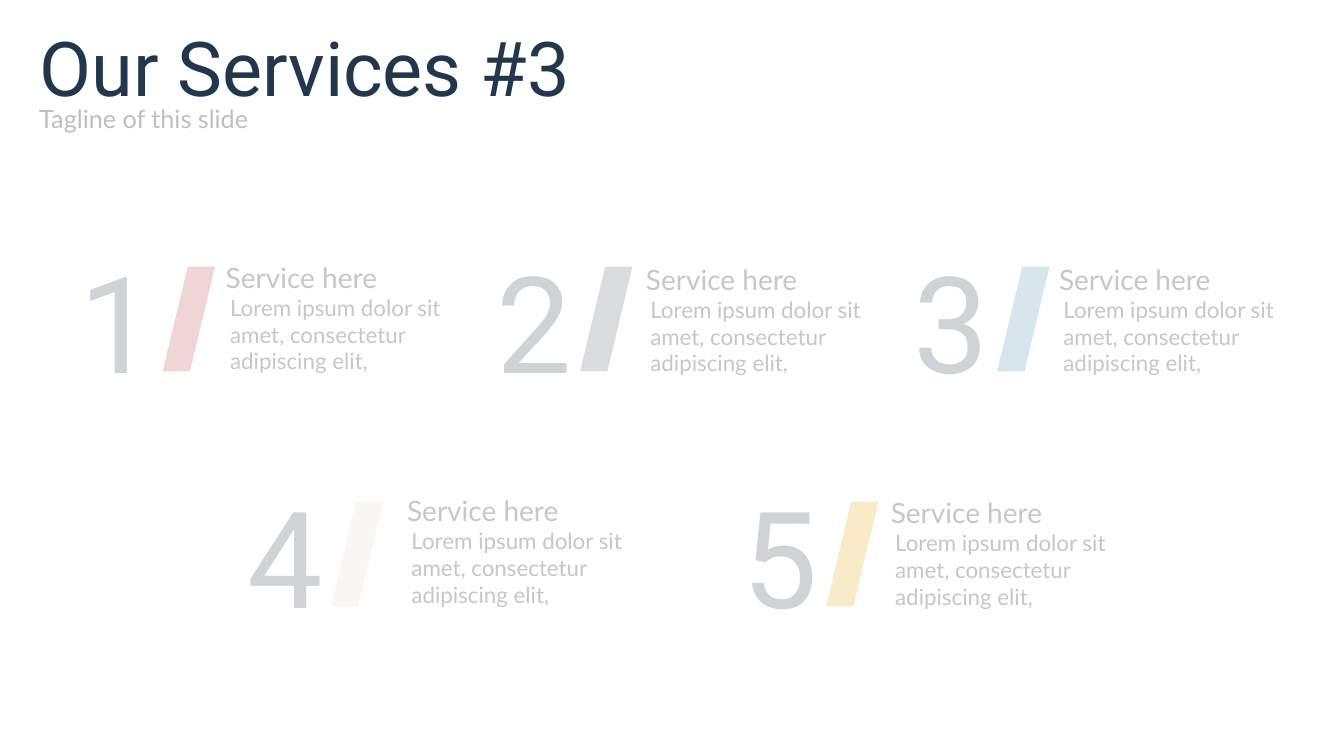
from lxml.etree import SubElement
from pptx import Presentation
from pptx.dml.color import RGBColor
from pptx.enum.shapes import MSO_SHAPE
from pptx.enum.text import MSO_ANCHOR, MSO_AUTO_SIZE, PP_ALIGN
from pptx.oxml.ns import qn
from pptx.util import Cm, Pt

NAVY = RGBColor(0x22, 0x37, 0x4B)
GREY = RGBColor(0xBF, 0xBF, 0xBF)
BLACK = RGBColor(0, 0, 0)
WHITE = RGBColor(0xFF, 0xFF, 0xFF)
RED = RGBColor(0xBE, 0x42, 0x48)
SLATE = RGBColor(0x58, 0x64, 0x73)
BLUE = RGBColor(0x4B, 0x89, 0xAA)
SAND = RGBColor(0xE6, 0xDA, 0xCB)
GOLD = RGBColor(0xE6, 0xA4, 0x00)

TITLE = "Our Services #3"
TAGLINE = "Tagline of this slide"
HEADING = "Service here"
DESCRIPTION = "Lorem ipsum dolor sit amet, consectetur adipiscing elit,"

# number, slash colour, number corner, heading corner, veil corner (cm)
SERVICES = [
    ("1", RED, (1.75, 5.89), (5.44, 6.43), (1.07, 5.13)),
    ("2", SLATE, (12.27, 5.89), (16.03, 6.48), (12.17, 5.36)),
    ("3", BLUE, (22.78, 5.89), (26.44, 6.48), (22.05, 5.05)),
    ("4", SAND, (5.99, 11.81), (10.01, 12.32), (5.69, 11.35)),
    ("5", GOLD, (18.47, 11.81), (22.2, 12.37), (18.34, 10.77)),
]
NUMBER_SIZE = (2.84, 4.37)
SLASH_SIZE = (1.32, 2.64)
SLASH_OFFSET = (2.35, 0.83)
SLASH_SLANT = 0.48
HEADING_SIZE = (6.02, 1.12)
DESCRIPTION_SIZE = (6.02, 2.31)
DESCRIPTION_OFFSET = (0.11, 0.85)
VEIL_SIZE = (10.92, 5.64)
VEIL_OPACITY = 78


def box(corner, size):
    return [Cm(length) for length in (*corner, *size)]


def shifted(corner, offset):
    return corner[0] + offset[0], corner[1] + offset[1]


def write(holder, text, size, face, colour):
    frame = holder.text_frame
    frame.text = text
    frame.word_wrap = True
    frame.auto_size = MSO_AUTO_SIZE.SHAPE_TO_FIT_TEXT
    frame.vertical_anchor = MSO_ANCHOR.TOP
    paragraph = frame.paragraphs[0]
    paragraph.alignment = PP_ALIGN.LEFT
    paragraph.font.size = Pt(size)
    paragraph.font.name = face
    paragraph.font.color.rgb = colour


def add_text(corner, size, *style):
    write(slide.shapes.add_textbox(*box(corner, size)), *style)


def add_filled(kind, corner, size, colour):
    shape = slide.shapes.add_shape(kind, *box(corner, size))
    shape.shadow.inherit = False
    shape.fill.solid()
    shape.fill.fore_color.rgb = colour
    shape.line.fill.background()
    return shape


deck = Presentation()
deck.slide_width, deck.slide_height = Cm(33.87), Cm(19.05)
slide = deck.slides.add_slide(deck.slide_layouts[5])

title = slide.shapes.title
title.left, title.top, title.width, title.height = box((0.74, 0.41), (23.09, 2.57))
write(title, TITLE, 54, "Roboto", NAVY)
add_text((0.74, 2.49), (13.87, 1.02), TAGLINE, 18, "Lato", GREY)

for number, colour, number_at, heading_at, _ in SERVICES:
    add_text(number_at, NUMBER_SIZE, number, 96, "Roboto", NAVY)
    slash = add_filled(MSO_SHAPE.PARALLELOGRAM, shifted(number_at, SLASH_OFFSET), SLASH_SIZE, colour)
    slash.adjustments[0] = SLASH_SLANT
    add_text(shifted(heading_at, DESCRIPTION_OFFSET), DESCRIPTION_SIZE, DESCRIPTION, 16, "Lato", BLACK)
    add_text(heading_at, HEADING_SIZE, HEADING, 20, "Lato", BLACK)

for *_, veil_at in SERVICES:
    veil = add_filled(MSO_SHAPE.RECTANGLE, veil_at, VEIL_SIZE, WHITE)
    veil_colour = veil.fill._xPr.find(qn("a:solidFill"))[0]
    SubElement(veil_colour, qn("a:alpha"), val=str(VEIL_OPACITY * 1000))

deck.save("out.pptx")
